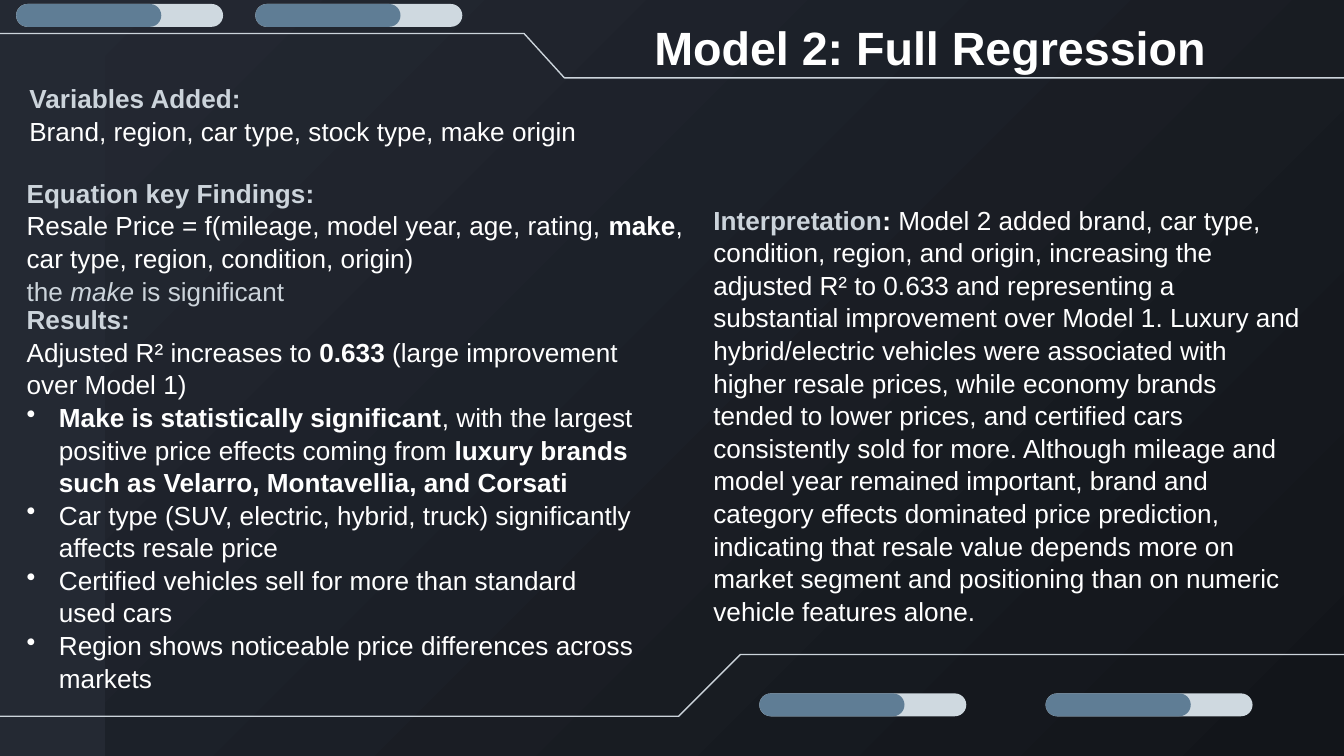
import pptx
import pptx.util
import pptx.dml.color
import pptx.enum.shapes
import pptx.enum.text
import lxml.etree

Inches, Pt = pptx.util.Inches, pptx.util.Pt
RGBColor = pptx.dml.color.RGBColor
Shape = pptx.enum.shapes.MSO_SHAPE
Anchor = pptx.enum.text.MSO_ANCHOR

WIDTH = 10
HEIGHT = WIDTH * 9 / 16
MARGIN = 0.1
FONT = "Arial"
BODY_SIZE, LINE_SPACING = 14, 1.04
BULLET_INDENT = 0.24

NIGHT = RGBColor(0x12, 0x15, 0x1A)
SLATE = RGBColor(0x24, 0x29, 0x33)
SILVER = RGBColor(0xCC, 0xD4, 0xDB)
TRACK = RGBColor(0xCF, 0xD9, 0xE0)
STEEL = RGBColor(0x5F, 0x7D, 0x95)
WHITE = RGBColor(0xFF, 0xFF, 0xFF)

# Progress pills: (left, top) of each track
PILL_HEIGHT, TRACK_LENGTH, DONE_LENGTH = 0.17, 1.54, 1.08
PILLS = [(0.12, 0.03), (1.9, 0.03), (5.65, 5.16), (7.78, 5.16)]

# Frame lines
TOP_LINE = [(-0.61, 0.25), (3.9, 0.25), (4.2, 0.58), (10.06, 0.58)]
BOTTOM_LINE = [(-0.17, 5.33), (5.05, 5.33), (5.51, 4.87), (10.09, 4.87)]


def plain(text, color=WHITE):
    return text, color, False, False


def bold(text, color=WHITE):
    return text, color, True, False


def italic(text, color=WHITE):
    return text, color, False, True


# Each text is a list of paragraphs, each paragraph a list of spans
VARIABLES = [
    [bold("Variables Added:", SILVER)],
    [plain("Brand, region, car type, stock type, make origin")],
]
EQUATION = [
    [bold("Equation key Findings:", SILVER)],
    [plain("Resale Price = f(mileage, model year, age, rating, "), bold("make"),
     plain(", car type, region, condition, origin)")],
    [plain("the ", SILVER), italic("make", SILVER), plain(" is significant", SILVER)],
]
RESULTS = [
    [bold("Results:", SILVER)],
    [plain("Adjusted R² increases to "), bold("0.633"),
     plain(" (large improvement over Model 1)")],
    [bold("Make is statistically significant"),
     plain(", with the largest positive price effects coming from "),
     bold("luxury brands such as Velarro, Montavellia, and Corsati")],
    [plain("Car type (SUV, electric, hybrid, truck) significantly affects resale price")],
    [plain("Certified vehicles sell for more than standard used cars")],
    [plain("Region shows noticeable price differences across markets")],
]
INTERPRETATION = [
    [bold("Interpretation", SILVER), bold(": "),
     plain("Model 2 added brand, car type, condition, region, and origin, "
           "increasing the adjusted R² to 0.633 and representing a substantial "
           "improvement over Model 1. Luxury and hybrid/electric vehicles were "
           "associated with higher resale prices, while economy brands tended to "
           "lower prices, and certified cars consistently sold for more. Although "
           "mileage and model year remained important, brand and category effects "
           "dominated price prediction, indicating that resale value depends more "
           "on market segment and positioning than on numeric vehicle features "
           "alone.")],
]


def paint_background(page):
    fill = page.background.fill
    fill.gradient()
    fill.gradient_angle = 135
    for stop, color, position in zip(fill.gradient_stops, (NIGHT, SLATE), (0, 1)):
        stop.color.rgb = color
        stop.position = position


def add_block(page, kind, left, top, width, height, color):
    block = page.shapes.add_shape(
        kind, Inches(left), Inches(top), Inches(width), Inches(height))
    block.shadow.inherit = False
    block.fill.solid()
    block.fill.fore_color.rgb = color
    block.line.fill.background()
    return block


def add_pill(page, left, top):
    for length, color in ((TRACK_LENGTH, TRACK), (DONE_LENGTH, STEEL)):
        bar = add_block(page, Shape.ROUNDED_RECTANGLE, left, top,
                        length, PILL_HEIGHT, color)
        bar.adjustments[0] = 0.5


def add_frame_line(page, points):
    start, *rest = [(Inches(x), Inches(y)) for x, y in points]
    builder = page.shapes.build_freeform(*start)
    builder.add_line_segments(rest, close=False)
    line = builder.convert_to_shape()
    line.shadow.inherit = False
    line.fill.background()
    line.line.color.rgb = SILVER
    line.line.width = Pt(0.75)


def add_bullet(para):
    properties = para._p.get_or_add_pPr()
    properties.set("marL", str(Inches(BULLET_INDENT)))
    properties.set("indent", str(-Inches(BULLET_INDENT)))
    namespace = properties.nsmap["a"]
    bullet = lxml.etree.SubElement(properties, f"{{{namespace}}}buChar")
    bullet.set("char", "•")


def add_text(page, left, top, width, height, paragraphs, size=BODY_SIZE,
             line_spacing=LINE_SPACING, anchor=Anchor.TOP, inset_top=MARGIN,
             inset_bottom=MARGIN, first_bullet=None):
    box = page.shapes.add_textbox(
        Inches(left), Inches(top), Inches(width), Inches(height))
    frame = box.text_frame
    frame.word_wrap = True
    frame.vertical_anchor = anchor
    frame.margin_left = frame.margin_right = Inches(MARGIN)
    frame.margin_top, frame.margin_bottom = Inches(inset_top), Inches(inset_bottom)
    for index, spans in enumerate(paragraphs):
        para = frame.add_paragraph() if index else frame.paragraphs[0]
        para.line_spacing = line_spacing
        if first_bullet is not None and index >= first_bullet:
            add_bullet(para)
        para.font.name = FONT
        para.font.size = Pt(size)
        for text, color, is_bold, is_italic in spans:
            span = para.add_run()
            span.text = text
            span.font.color.rgb = color
            span.font.bold = is_bold
            span.font.italic = is_italic


def main():
    deck = pptx.Presentation()
    deck.slide_width, deck.slide_height = Inches(WIDTH), Inches(HEIGHT)
    page = deck.slides.add_slide(deck.slide_layouts[6])

    # Backdrop
    paint_background(page)
    add_block(page, Shape.RECTANGLE, 0, 0, 0.78, HEIGHT, SLATE)
    for points in (BOTTOM_LINE, TOP_LINE):
        add_frame_line(page, points)

    # Title
    add_text(page, 4.77, 0.03, 4.41, 0.63, [[bold("Model 2: Full Regression")]],
             size=25, line_spacing=1, anchor=Anchor.BOTTOM)

    # Left column
    add_text(page, 0.12, 0.74, 4.77, 0.45, VARIABLES, anchor=Anchor.BOTTOM)
    add_text(page, 0.1, 3.36, 4.77, 2.37, RESULTS, anchor=Anchor.BOTTOM,
             inset_bottom=0.57, first_bullet=2)
    add_text(page, 0.1, 1.26, 5.36, 1.04, EQUATION,
             inset_top=MARGIN / 2, inset_bottom=MARGIN / 2)

    # Right column
    add_text(page, 5.21, 1.41, 4.57, 2.96, INTERPRETATION)

    # Progress pills
    for left, top in PILLS:
        add_pill(page, left, top)

    deck.save("out.pptx")


if __name__ == "__main__":
    main()
